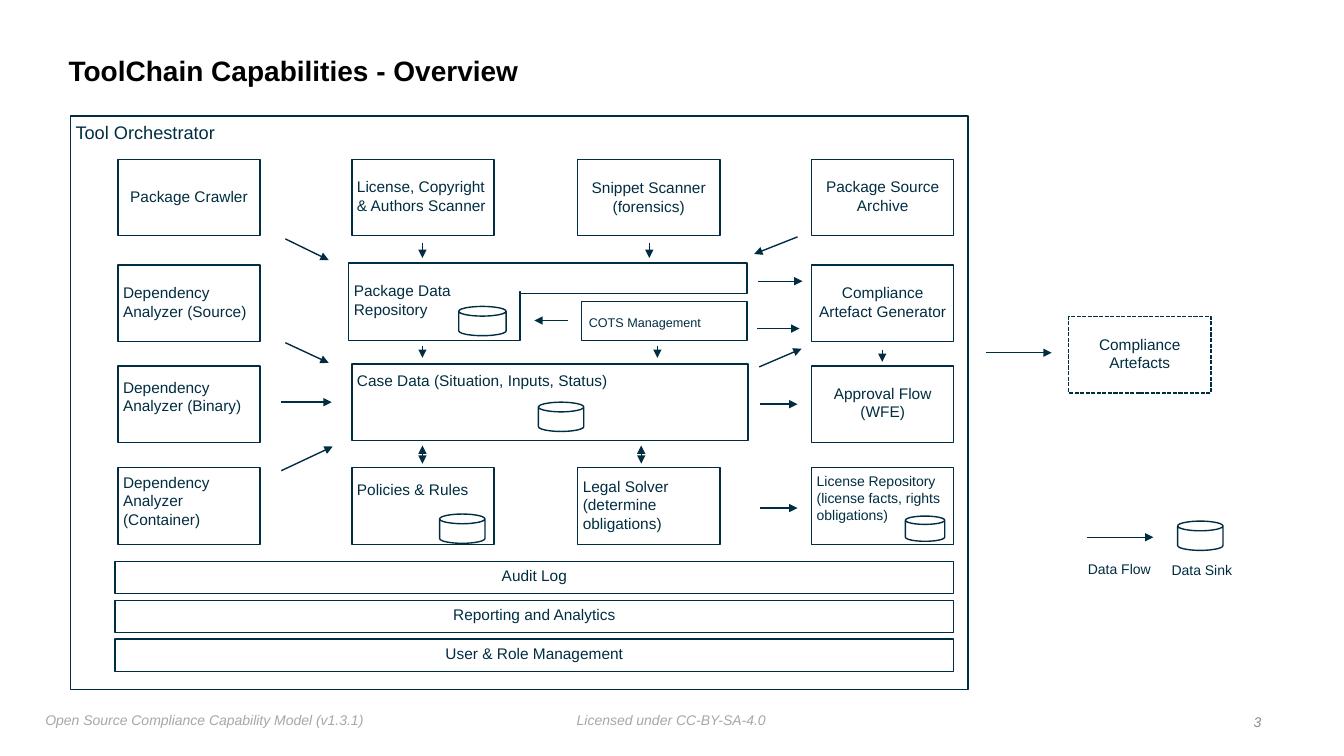
"""Draw the overview of toolchain capabilities."""
from lxml.etree import SubElement
from pptx import Presentation
from pptx.dml.color import RGBColor as Rgb
from pptx.enum.dml import MSO_LINE as Dash
from pptx.enum.shapes import MSO_CONNECTOR as Link, MSO_SHAPE as Kind
from pptx.enum.text import MSO_ANCHOR as Anchor, PP_ALIGN as Align
from pptx.oxml.ns import qn
from pptx.util import Inches as In, Pt

INK = {"navy": "002D41", "white": "FFFFFF", "black": "000000",
       "pale": "A7A7A7", "grey": "888C91"}
COLS = (1.17, 3.49, 5.73, 8.05)
ROWS = (1.58, 2.63, 3.63, 4.64)
WIDE, HIGH = 1.41, 0.76
PAD = 0.05
MID = Align.CENTER
LEFT = Align.LEFT

CELLS = (
    (0, 0, "Package Crawler", MID, 0.23, 11),
    (1, 0, "License, Copyright & Authors Scanner", LEFT, 0.13, 11),
    (2, 0, "Snippet Scanner\n(forensics)", MID, 0.14, 11),
    (3, 0, "Package Source Archive", MID, 0.13, 11),
    (0, 1, "Dependency Analyzer (Source)", LEFT, 0.13, 11),
    (3, 1, "Compliance Artefact Generator", MID, 0.13, 11),
    (0, 2, "Dependency Analyzer (Binary)", LEFT, 0.07, 11),
    (3, 2, "Approval Flow (WFE)", MID, 0.13, 11),
    (0, 3, "Dependency Analyzer (Container)", LEFT, 0, 11),
    (1, 3, "Policies & Rules", LEFT, 0.07, 11),
    (2, 3, "Legal Solver (determine obligations)", LEFT, 0.04, 11),
    (3, 3, "License Repository (license facts, rights obligations)", LEFT, 0, 10),
)
BARS = ("Audit Log", "Reporting and Analytics", "User & Role Management")
FLOWS = (
    (2.83, 2.37, 3.26, 2.58), (2.83, 3.4, 3.26, 3.6),
    (2.79, 3.99, 3.29, 3.99), (2.79, 4.67, 3.3, 4.43),
    (4.19, 2.41, 4.19, 2.56), (6.44, 2.41, 6.44, 2.56),
    (4.19, 3.43, 4.19, 3.55), (6.52, 3.43, 6.52, 3.55),
    (8.75, 3.47, 8.75, 3.59), (5.63, 3.18, 5.3, 3.18),
    (7.91, 2.35, 7.48, 2.52), (7.52, 2.79, 7.96, 2.79),
    (7.51, 3.26, 7.93, 3.26), (7.53, 3.64, 7.95, 3.46),
    (7.54, 4.01, 7.91, 4.01), (7.54, 5.04, 7.91, 5.04),
    (9.78, 3.5, 10.43, 3.5), (10.78, 5.33, 11.44, 5.33),
)
SWAPS = ((4.19, 4.6, 4.19, 4.42), (6.36, 4.6, 6.36, 4.42))
SINKS = ((4.55, 3.04, 0.47, 0.29), (5.34, 3.99, 0.45, 0.29),
         (4.36, 5.1, 0.45, 0.29), (8.98, 5.12, 0.39, 0.25),
         (11.68, 5.17, 0.45, 0.29))


def tint(name):
    return Rgb.from_string(INK[name])


def write(shape, text, size, align=LEFT, drop=0, shift=0, ink="navy"):
    frame = shape.text_frame
    frame.margin_left = In(PAD + shift)
    frame.margin_top = In(PAD + drop)
    frame.margin_right = frame.margin_bottom = In(PAD)
    frame.vertical_anchor = Anchor.TOP
    para = frame.paragraphs[0]
    para.text = text
    para.alignment = align
    font = para.font
    font.name, font.size = "Arial", Pt(size)
    font.color.rgb = tint(ink)
    return para


def block(slide, x, y, w, h, kind=Kind.RECTANGLE, edge=True):
    shape = slide.shapes.add_shape(kind, In(x), In(y), In(w), In(h))
    shape.shadow.inherit = False
    shape.fill.solid()
    shape.fill.fore_color.rgb = tint("white")
    if edge:
        shape.line.color.rgb = tint("navy")
        shape.line.width = Pt(1)
    else:
        shape.line.fill.background()
    shape.text_frame.word_wrap = True
    return shape


def label(slide, x, y, w, h, text, size, align=LEFT, ink="navy", wrap=False):
    box = slide.shapes.add_textbox(In(x), In(y), In(w), In(h))
    box.text_frame.word_wrap = wrap
    return write(box, text, size, align, ink=ink)


def sink(slide, x, y, w, h):
    block(slide, x, y, w, h, Kind.CAN).adjustments[0] = 0.33


def arrow(slide, x1, y1, x2, y2, both=False):
    link = slide.shapes.add_connector(
        Link.STRAIGHT, In(x1), In(y1), In(x2), In(y2))
    link.line.color.rgb = tint("navy")
    link.line.width = Pt(1)
    line = link.line._get_or_add_ln()
    for end in ("a:headEnd", "a:tailEnd")[0 if both else 1:]:
        SubElement(line, qn(end), type="triangle")
    SubElement(link._element.spPr, qn("a:effectLst"))


def store(slide):
    base = block(slide, 3.46, 2.61, 1.7, 0.77)
    write(base, "Package Data Repository", 11, drop=0.13)
    block(slide, 5.16, 2.61, 2.25, 0.3)
    block(slide, 5.04, 2.62, 0.19, 0.27, edge=False)


def frame(slide):
    title = label(slide, 0.63, 0.39, 10.75, 0.65,
                  "ToolChain Capabilities - Overview", 20, ink="black", wrap=True)
    title.font.bold = True
    title.line_spacing = 0.9
    slide.shapes[0].text_frame.vertical_anchor = Anchor.MIDDLE
    for x, y, w, text, align, ink in (
            (0.4, 7.01, 3.36, "Open Source Compliance Capability Model (v1.3.1)",
             LEFT, "pale"),
            (5.67, 7.01, 1.99, "Licensed under CC-BY-SA-4.0", LEFT, "pale"),
            (12.37, 7.03, 0.19, "3", Align.RIGHT, "grey")):
        label(slide, x, y, w, 0.25, text, 10, align, ink).font.italic = True
    write(block(slide, 0.7, 1.15, 8.9, 5.69), "Tool Orchestrator", 13)


def main():
    deck = Presentation()
    deck.slide_width, deck.slide_height = In(13.33), In(7.5)
    slide = deck.slides.add_slide(deck.slide_layouts[6])
    frame(slide)
    for col, row, text, align, drop, size in CELLS:
        cell = block(slide, COLS[col], ROWS[row], WIDE, HIGH)
        write(cell, text, size, align, drop)
    for i, text in enumerate(BARS):
        write(block(slide, 1.14, 5.57 + 0.385 * i, 8.32, 0.32), text, 11, MID)
    case = block(slide, COLS[1], 3.61, 3.93, HIGH)
    write(case, "Case Data (Situation, Inputs, Status)", 11, drop=0.02)
    cots = block(slide, 5.77, 2.99, 1.64, 0.39)
    write(cots, "COTS Management", 9, drop=0.08, shift=0.02)
    goal = block(slide, 10.6, 3.14, WIDE, HIGH)
    goal.line.dash_style = Dash.SQUARE_DOT
    write(goal, "Compliance Artefacts", 11, MID, 0.13)
    store(slide)
    for spot in SINKS:
        sink(slide, *spot)
    for flow in FLOWS:
        arrow(slide, *flow)
    for swap in SWAPS:
        arrow(slide, *swap, both=True)
    label(slide, 10.74, 5.51, 0.74, 0.29, "Data Flow", 10)
    label(slide, 11.57, 5.52, 0.7, 0.29, "Data Sink", 10)
    deck.save("out.pptx")


if __name__ == "__main__":
    main()
